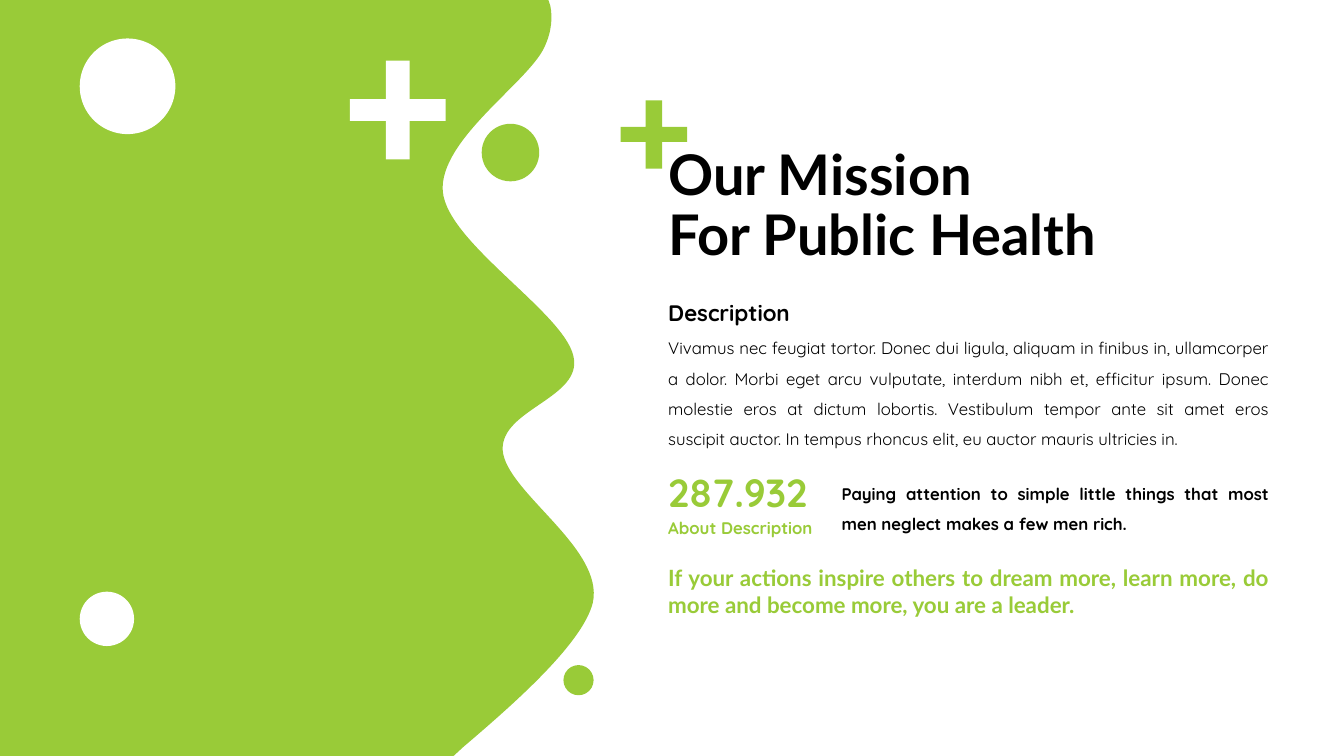
from lxml.etree import SubElement
from pptx import Presentation
from pptx.dml.color import RGBColor
from pptx.enum.shapes import MSO_SHAPE
from pptx.enum.text import MSO_ANCHOR, MSO_AUTO_SIZE, PP_ALIGN
from pptx.oxml.ns import qn
from pptx.oxml.xmlchemy import OxmlElement
from pptx.util import Cm, Pt

GREEN, WHITE, BLACK = "99CB38", "FFFFFF", "000000"
WIDE, HIGH = 33.87, 19.05

# Edge of the wave in cm: a start point, then two controls and an end per curve
START = (13.87, 0.15)
CURVES = [
    ((13.92, 0.41), (13.92, 0.76), (13.72, 1.19)),
    ((13.31, 2.08), (11.05, 3.53), (11.16, 4.83)),
    ((11.28, 6.12), (14.2, 7.87), (14.45, 8.97)),
    ((14.71, 10.03), (12.6, 10.31), (12.67, 11.35)),
    ((12.75, 12.4), (15.24, 13.82), (14.94, 15.19)),
    ((14.68, 16.23), (12.9, 17.78), (11.68, 18.82)),
]

BODY = (
    "Vivamus nec feugiat tortor. Donec dui ligula, aliquam in finibus in, "
    "ullamcorper a dolor. Morbi eget arcu vulputate, interdum nibh et, "
    "efficitur ipsum. Donec molestie eros at dictum lobortis. Vestibulum "
    "tempor ante sit amet eros suscipit auctor. In tempus rhoncus elit, "
    "eu auctor mauris ultricies in."
)
NOTE = ("Paying attention to simple little things that most men neglect "
        "makes a few men rich.")
QUOTE = ("If your actions inspire others to dream more, learn more, do more "
         "and become more, you are a leader.")


def color(code):
    return RGBColor.from_string(code)


def paint(shape, code):
    shape.shadow.inherit = False
    shape.fill.solid()
    shape.fill.fore_color.rgb = color(code)
    shape.line.fill.background()


def outline(slide, points, code):
    """Fill the closed outline through points given in cm."""
    spots = [(Cm(x), Cm(y)) for x, y in points]
    pen = slide.shapes.build_freeform(*spots[0])
    pen.add_line_segments(spots[1:], close=True)
    shape = pen.convert_to_shape()
    paint(shape, code)
    return shape


def wave(slide, left, top, height):
    """Draw the wave with straight sides, then bend the lines of its edge."""
    sides = [(0, height), (0, 0), (13.82, 0), START]
    ends = [curve[-1] for curve in CURVES]
    points = [*sides, *ends, (11.43, height)]
    shape = outline(slide, [(left + x, top + y) for x, y in points], GREEN)
    lines = list(shape.element.iter(qn("a:lnTo")))
    for line, curve in zip(lines[len(sides) - 1:], CURVES):
        arc = OxmlElement("a:cubicBezTo")
        for x, y in curve:
            SubElement(arc, qn("a:pt"), x=str(Cm(x)), y=str(Cm(y)))
        line.getparent().replace(line, arc)


def plus(slide, left, top, width, height, code):
    bar, beam = width * 0.25, height * 0.22
    x1, x2 = left + (width - bar) / 2, left + (width + bar) / 2
    y1, y2 = top + (height - beam) / 2, top + (height + beam) / 2
    right, base = left + width, top + height
    outline(slide, [
        (x1, top), (x2, top), (x2, y1), (right, y1), (right, y2), (x2, y2),
        (x2, base), (x1, base), (x1, y2), (left, y2), (left, y1), (x1, y1),
    ], code)


def disc(slide, left, top, size, code):
    shape = slide.shapes.add_shape(
        MSO_SHAPE.OVAL, Cm(left), Cm(top), Cm(size), Cm(size))
    paint(shape, code)


def scene(slide, left, top, height):
    wave(slide, left, top, height)
    plus(slide, left + 15.64, top + 2.53, 1.68, 1.72, GREEN)
    plus(slide, left + 8.82, top + 1.53, 2.41, 2.49, WHITE)
    for x, y, size, code in [
        (2.01, 14.91, 1.37, WHITE),
        (2.01, 0.97, 2.41, WHITE),
        (14.2, 16.76, 0.76, GREEN),
        (12.14, 3.12, 1.45, GREEN),
    ]:
        disc(slide, left + x, top + y, size, code)


def write(shape, text, face, size, code, bold=True, space=None,
          align=PP_ALIGN.JUSTIFY, anchor=MSO_ANCHOR.TOP,
          fit=MSO_AUTO_SIZE.SHAPE_TO_FIT_TEXT):
    frame = shape.text_frame
    frame.text = text
    frame.word_wrap = True
    frame.auto_size = fit
    frame.vertical_anchor = anchor
    para = frame.paragraphs[0]
    para.alignment = align
    para.line_spacing = space
    for run in para.runs:
        font = run.font
        font.name, font.size, font.bold = face, Pt(size), bold
        font.color.rgb = color(code)


def head(slide, left, top, width, height):
    title = slide.shapes.title
    title.left, title.top = Cm(left), Cm(top)
    title.width, title.height = Cm(width), Cm(height)
    write(title, "Our Mission\vFor Public Health", "Lato", 40, BLACK,
          space=0.9, align=PP_ALIGN.LEFT, anchor=MSO_ANCHOR.MIDDLE,
          fit=MSO_AUTO_SIZE.NONE)
    # Bring the title in front of the plus it touches
    title.element.getparent().append(title.element)


def story(slide, left, top, width):
    def put(x, y, wide, high, *text, **look):
        box = slide.shapes.add_textbox(
            Cm(left + x), Cm(top + y), Cm(wide), Cm(high))
        write(box, *text, **look)

    sans, mid = "Quicksand", MSO_ANCHOR.MIDDLE
    split = 4.37
    put(0, 1.06, width, 3.33, BODY, sans, 12, BLACK, bold=False, space=1.5)
    put(0, 0, 7.52, 1.14, "Description", sans, 16, BLACK, space=1.5)
    put(0, 5.85, split, 0.76, "About Description", sans, 12, GREEN,
        anchor=mid)
    put(0, 4.59, 5.84, 1.45, "287.932", sans, 28, GREEN, anchor=mid)
    put(split, 4.72, width - split, 1.7, NOTE, sans, 12, BLACK, space=1.5)
    put(0, 7.02, width, 1.63, QUOTE, "Lato", 16, GREEN)


def main():
    deck = Presentation()
    deck.slide_width, deck.slide_height = Cm(WIDE), Cm(HIGH)
    slide = deck.slides.add_slide(deck.slide_layouts[5])
    scene(slide, 0, 0, HIGH)
    story(slide, 16.59, 7.08, 15.65)
    head(slide, 16.59, 3.38, 12.9, 3.68)
    deck.save("out.pptx")


if __name__ == "__main__":
    main()
